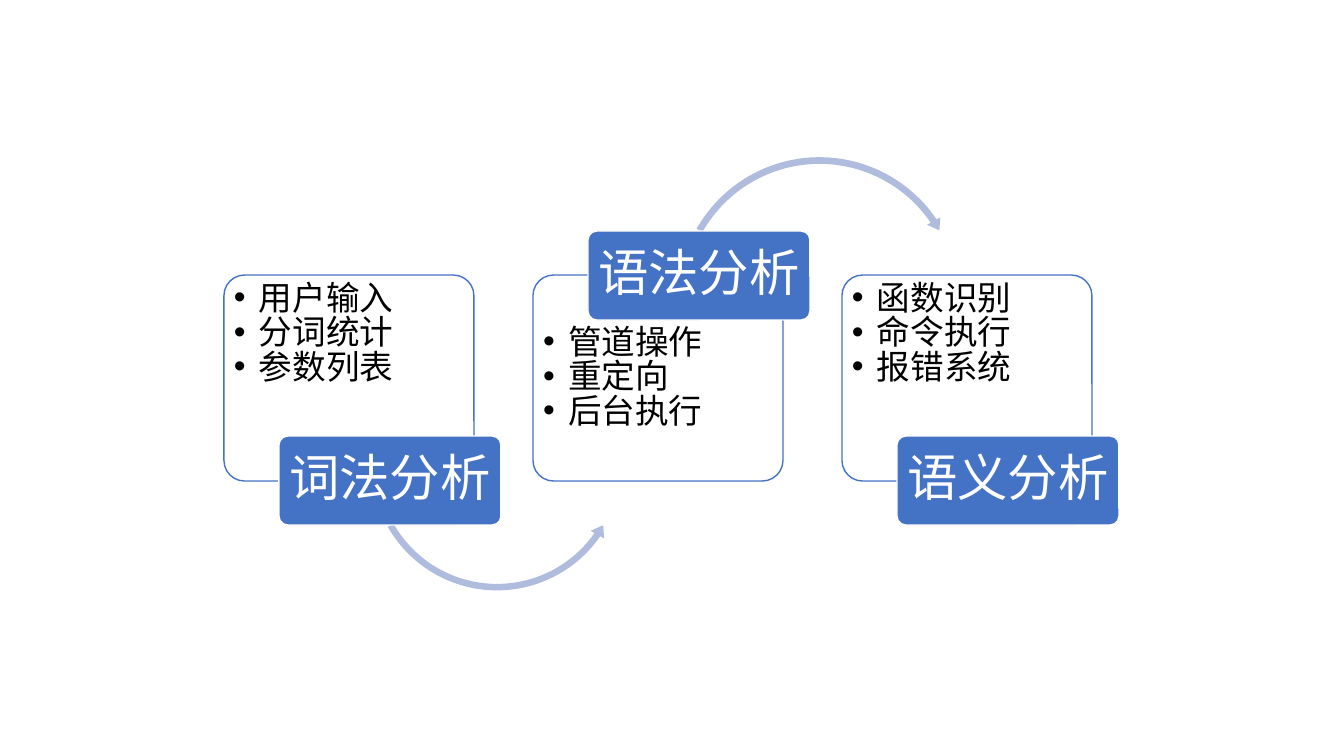
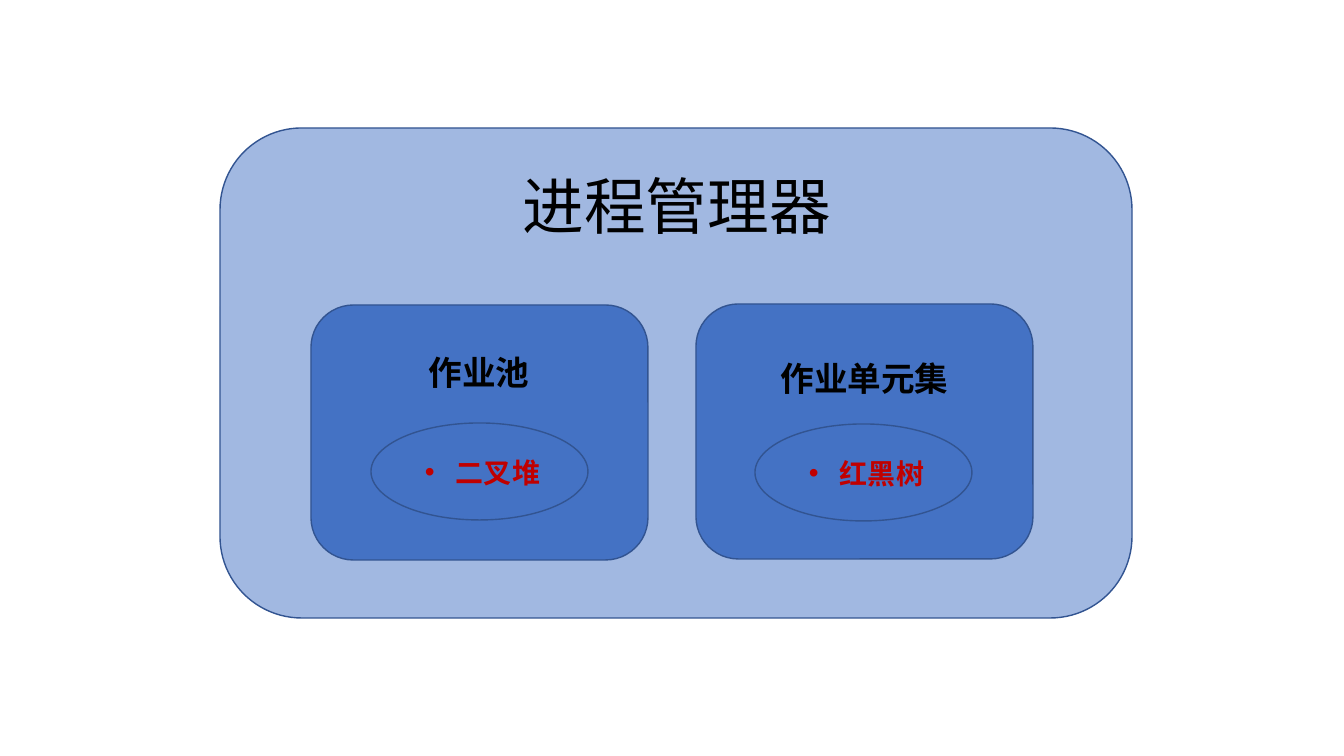
from pptx import Presentation
from pptx.dml.color import RGBColor
from pptx.enum.shapes import MSO_SHAPE
from pptx.enum.text import MSO_ANCHOR, PP_ALIGN
from pptx.oxml.ns import qn
from pptx.util import Pt
from lxml.etree import SubElement

SCALE = 914400 / 100.8
FONT = "Noto Sans CJK SC"
BLUE, EDGE, PALE, WHITE = "4472C4", "325491", "B0BCDE", "FFFFFF"
BLACK, RED = "000000", "C00000"

deck = Presentation()
deck.slide_width, deck.slide_height = round(1344 * SCALE), round(756 * SCALE)


def draw(slide, kind, box, fill=None, line=None, adj=(), alpha=None):
    shape = slide.shapes.add_shape(kind, *[round(v * SCALE) for v in box])
    shape.shadow.inherit = False
    for i, val in enumerate(adj):
        shape.adjustments[i] = val
    if fill:
        shape.fill.solid()
        shape.fill.fore_color.rgb = RGBColor.from_string(fill)
    else:
        shape.fill.background()
    if alpha:
        tint = shape.fill._xPr.find(".//" + qn("a:srgbClr"))
        SubElement(tint, qn("a:alpha"), val=str(alpha * 1000))
    if line:
        shape.line.color.rgb = RGBColor.from_string(line)
        shape.line.width = Pt(1)
    else:
        shape.line.fill.background()
    return shape


def write(shape, text, size, color=BLACK, bold=False, align=PP_ALIGN.CENTER,
          anchor=MSO_ANCHOR.MIDDLE, pad=(10, 5, 10, 5), space=1.0, hang=0, wrap=True):
    frame = shape.text_frame
    frame.text = text
    frame.word_wrap = wrap
    frame.vertical_anchor = anchor
    (frame.margin_left, frame.margin_top,
     frame.margin_right, frame.margin_bottom) = [round(v * SCALE) for v in pad]
    for para in frame.paragraphs:
        para.alignment = align
        para.line_spacing = space
        if hang:
            props = para._p.get_or_add_pPr()
            props.set("marL", str(round(hang * SCALE)))
            props.set("indent", str(-round(hang * SCALE)))
            SubElement(props, qn("a:buFont"), typeface="Arial")
            SubElement(props, qn("a:buChar"), char="•")
        font = para.runs[0].font
        font.size, font.bold, font.name = Pt(size), bold, FONT
        font.color.rgb = RGBColor.from_string(color)
        SubElement(font._element, qn("a:ea"), typeface=FONT)


steps = deck.slides.add_slide(deck.slide_layouts[6])
cards = [
    ("词法分析", "用户输入\n分词统计\n参数列表", 436, 2,
     (MSO_SHAPE.LEFT_CIRCULAR_ARROW, (367, 335, 260, 260),
      (0.025, 3.094, 20.849, 90.245, 0.03))),
    ("语法分析", "管道操作\n重定向\n后台执行", 231, 46,
     (MSO_SHAPE.CIRCULAR_ARROW, (674, 153, 291, 291),
      (0.023, 2.738, 195.507, 125.755, 0.026))),
    ("语义分析", "函数识别\n命令执行\n报错系统", 436, 2, None),
]
for i, (name, items, top, drop, arrow) in enumerate(cards):
    left = 224 + 309 * i
    card = draw(steps, MSO_SHAPE.ROUNDED_RECTANGLE, (left, 275, 250, 206),
                WHITE, BLUE, (0.1,))
    write(card, items, 24, align=PP_ALIGN.LEFT, anchor=MSO_ANCHOR.TOP,
          pad=(4, drop, 4, 3), space=0.85, hang=25)
    if arrow:
        kind, box, adj = arrow
        draw(steps, kind, box, PALE, adj=adj)
    badge = draw(steps, MSO_SHAPE.ROUNDED_RECTANGLE, (left + 55, top, 222, 89),
                 BLUE, WHITE, (0.1,))
    write(badge, name, 36, WHITE, pad=(7, 5, 7, 5), space=0.9, wrap=False)

pool = deck.slides.add_slide(deck.slide_layouts[6])
draw(pool, MSO_SHAPE.ROUNDED_RECTANGLE, (220, 128, 912, 490), BLUE, EDGE, alpha=50)
labels = [((456, 162, 442, 85), "进程管理器", dict(size=44))]
parts = [
    (311, 305, (390, 347, 178, 50), "作业池", 371, 423, "二叉堆"),
    (696, 304, (767, 353, 195, 50), "作业单元集", 755, 424, "红黑树"),
]
for left, top, box, name, x, y, tree in parts:
    draw(pool, MSO_SHAPE.ROUNDED_RECTANGLE, (left, top, 337, 255), BLUE, EDGE)
    draw(pool, MSO_SHAPE.OVAL, (x, y, 217, 97), line=EDGE)
    labels += [
        (box, name, dict(size=24, bold=True)),
        ((x + 44, y + 27, 222, 44), tree,
         dict(size=20, color=RED, bold=True, align=PP_ALIGN.LEFT, hang=31)),
    ]
for box, text, style in labels:
    label = pool.shapes.add_textbox(*[round(v * SCALE) for v in box])
    write(label, text, **style)

deck.save("out.pptx")
